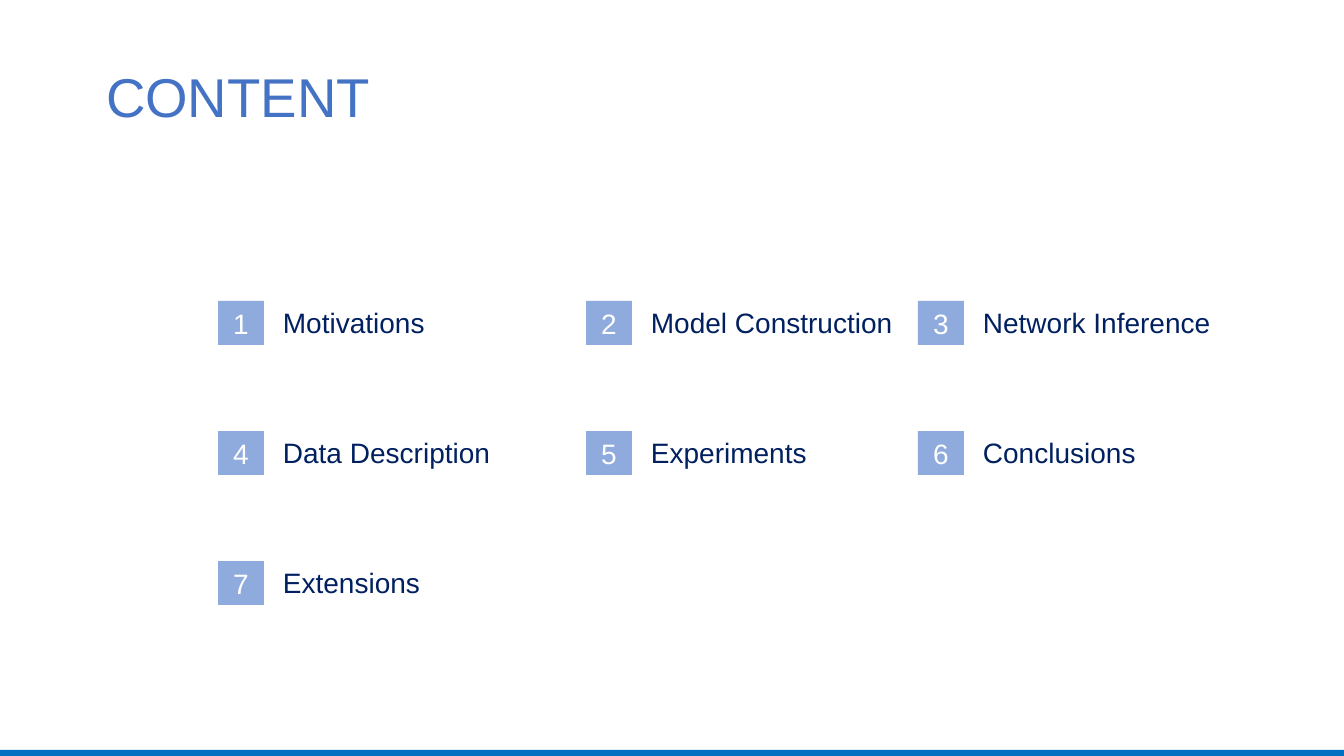
from pptx import Presentation
from pptx.dml.color import RGBColor
from pptx.enum.shapes import MSO_SHAPE as Shape
from pptx.enum.text import MSO_ANCHOR as Anchor, MSO_AUTO_SIZE as AutoSize, PP_ALIGN as Align
from pptx.util import Pt

PX = 9144000 // 1008  # EMU in one px, at 100.8 px to the inch
WHITE = RGBColor(0xFF, 0xFF, 0xFF)
BAR_BLUE = RGBColor(0x00, 0x70, 0xC0)
BADGE_BLUE = RGBColor(0x8F, 0xAA, 0xDC)
TITLE_BLUE = RGBColor(0x44, 0x72, 0xC4)
NAVY = RGBColor(0x00, 0x20, 0x60)

TOPICS = ["Motivations", "Model Construction", "Network Inference",
          "Data Description", "Experiments", "Conclusions", "Extensions"]
COLUMN_LEFTS = [218, 586, 918]
FIRST_ROW_TOP, ROW_PITCH = 301, 130
BADGE_WIDTH, ROW_HEIGHT = 46, 44
LABEL_OFFSET, LABEL_WIDTH = 55, 257


def px(*lengths):
    return [length * PX for length in lengths]


def write_text(shape, text, size, color, align=Align.LEFT, line_spacing=1.0):
    frame = shape.text_frame
    frame.word_wrap = True
    frame.auto_size = AutoSize.NONE
    frame.vertical_anchor = Anchor.MIDDLE
    frame.margin_right = 0 if align == Align.LEFT else frame.margin_left
    para = frame.paragraphs[0]
    para.alignment = align
    para.line_spacing = line_spacing
    span = para.add_run()
    span.text = text
    span.font.name = "Arial"
    span.font.size = Pt(size)
    span.font.color.rgb = color


deck = Presentation()
deck.slide_width, deck.slide_height = px(1344, 756)
page = deck.slides.add_slide(deck.slide_layouts[5])

title = page.shapes.title
title.left, title.top, title.width, title.height = px(96, 64, 576, 72)
write_text(title, "CONTENT", 39, TITLE_BLUE, line_spacing=0.9)

footer_bar = page.shapes.add_shape(Shape.RECTANGLE, *px(-1, 750, 1346, 8))
footer_bar.shadow.inherit = False
footer_bar.fill.solid()
footer_bar.fill.fore_color.rgb = BAR_BLUE
footer_bar.line.fill.background()

for index, topic in enumerate(TOPICS):
    row, column = divmod(index, len(COLUMN_LEFTS))
    left = COLUMN_LEFTS[column]
    top = FIRST_ROW_TOP + row * ROW_PITCH

    badge = page.shapes.add_shape(Shape.RECTANGLE, *px(left, top, BADGE_WIDTH, ROW_HEIGHT))
    badge.shadow.inherit = False
    badge.fill.solid()
    badge.fill.fore_color.rgb = BADGE_BLUE
    badge.line.fill.background()
    write_text(badge, str(index + 1), 20, WHITE, align=Align.CENTER)

    label = page.shapes.add_textbox(*px(left + LABEL_OFFSET, top - 1, LABEL_WIDTH, ROW_HEIGHT))
    write_text(label, topic, 20, NAVY)

deck.save("out.pptx")
